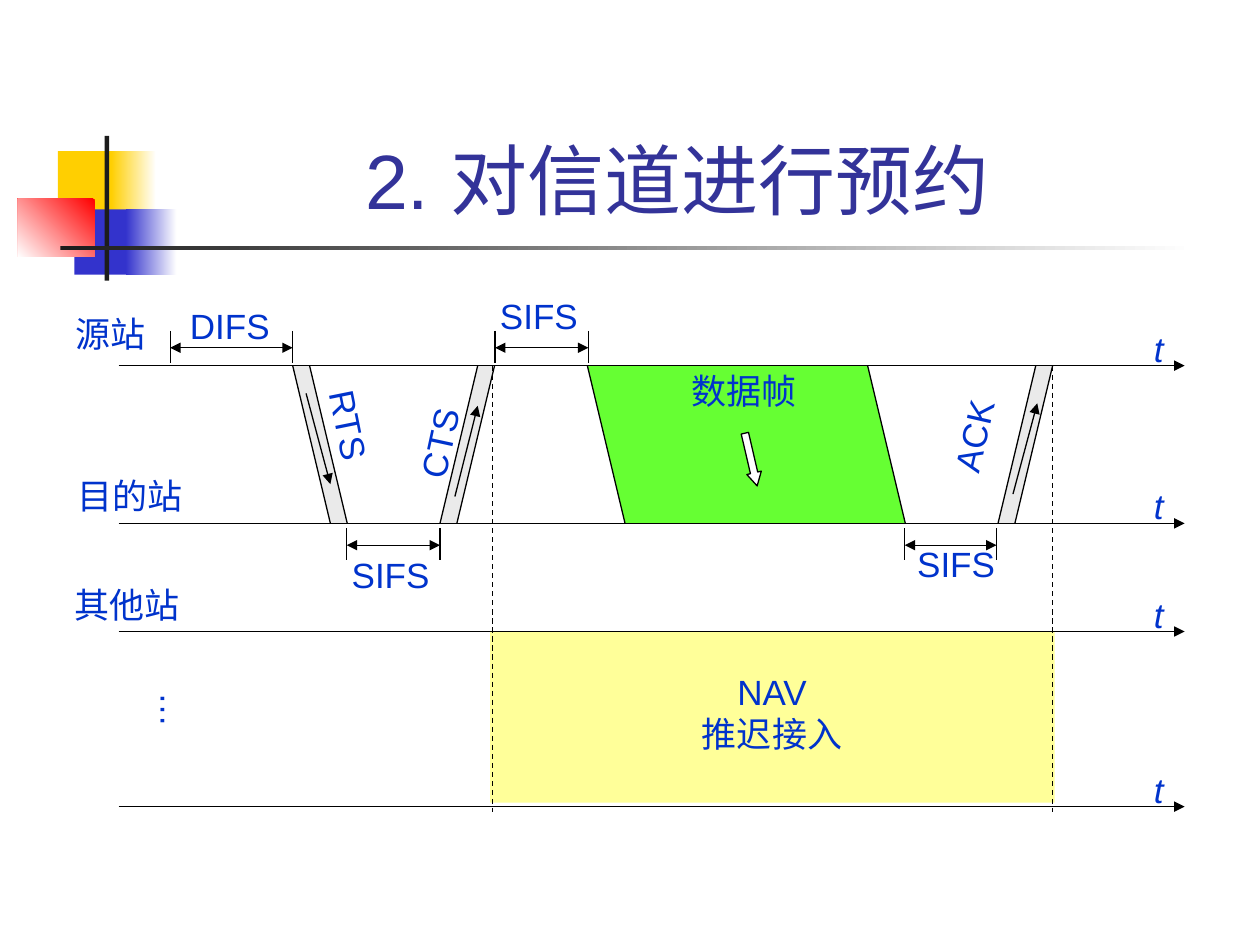
from lxml import etree
from pptx import Presentation
from pptx.dml.color import RGBColor
from pptx.enum import dml, shapes, text
from pptx.oxml import ns
from pptx.util import Cm, Pt

COLORS = {
    "title": "333399", "label": "0033CC", "line": "000000", "white": "FFFFFF",
    "yellow": "FFCF01", "blue": "3333CC", "red": "FF0000", "bar": "1C1C1C",
    "nav": "FFFF99", "data": "66FF33", "control": "EAEAEA",
}
AXIS_LENGTH = 21.49
SOURCE, TARGET, OTHER, LAST = AXES = (0, 3.18, 5.36, 8.89)
SLANT = 0.76
CONTROL_WIDTH = 0.34


def rgb(name):
    return RGBColor.from_string(COLORS[name])


def format_run(r, size, color, italic=None):
    r.font.size, r.font.name, r.font.italic = Pt(size), "Arial", italic
    r.font.color.rgb = rgb(color)


def paint(sp, color, outline=False):
    sp.shadow.inherit = False
    sp.fill.solid()
    sp.fill.fore_color.rgb = rgb(color)
    if outline:
        sp.line.color.rgb, sp.line.width = rgb("line"), Pt(0.75)
    else:
        sp.line.fill.background()


def add_block(slide, kind, x, y, w, h, color, outline=False):
    sp = slide.shapes.add_shape(kind, Cm(x), Cm(y), Cm(w), Cm(h))
    paint(sp, color, outline)
    return sp


def add_line(slide, x1, y1, x2, y2, heads=(), dashed=False):
    line = slide.shapes.add_connector(
        shapes.MSO_CONNECTOR.STRAIGHT, Cm(x1), Cm(y1), Cm(x2), Cm(y2))
    line.line.color.rgb, line.line.width = rgb("line"), Pt(0.75)
    if dashed:
        line.line.dash_style = dml.MSO_LINE.DASH
    ln = line.line._get_or_add_ln()
    for head in heads:
        etree.SubElement(ln, ns.qn("a:" + head), type="triangle")
    etree.SubElement(line._element.spPr, ns.qn("a:effectLst"))


def add_label(slide, x, y, w, words, h=1.12, rotation=0, italic=None, centered=False):
    sp = slide.shapes.add_textbox(Cm(x), Cm(y), Cm(w), Cm(h))
    sp.rotation = rotation
    tf = sp.text_frame
    tf.text = words
    tf.word_wrap = False
    tf.auto_size = text.MSO_AUTO_SIZE.SHAPE_TO_FIT_TEXT
    for p in tf.paragraphs:
        if centered:
            p.alignment = text.PP_ALIGN.CENTER
        for r in p.runs:
            format_run(r, 20, "label", italic)


def add_decoration(slide, x, y):
    """Coloured squares and crossing bars; the last value is the fade angle."""
    for dx, dy, w, h, color, angle in (
        (0.81, 0.31, 1.22, 1.32, "yellow", None),
        (1.88, 0.31, 0.91, 1.32, "yellow", 0),
        (1.14, 1.48, 1.17, 1.32, "blue", None),
        (2.18, 1.48, 1.02, 1.32, "blue", 0),
        (0, 1.27, 1.55, 1.17, "red", 225),
        (1.75, 0, 0.09, 2.92, "bar", None),
        (0.86, 2.21, 22.86, 0.09, "bar", 0),
    ):
        sp = add_block(slide, shapes.MSO_SHAPE.RECTANGLE, x + dx, y + dy, w, h, color)
        if angle is not None:
            sp.fill.gradient()
            sp.fill.gradient_angle = angle
            for stop, name in zip(sp.fill.gradient_stops, (color, "white")):
                stop.color.rgb, stop.position = rgb(name), float(name == "white")


def add_title(slide, x, y, w, h):
    sp = slide.shapes.title
    sp.left, sp.top, sp.width, sp.height = Cm(x), Cm(y), Cm(w), Cm(h)
    tf = sp.text_frame
    tf.text = "2. 对信道进行预约"
    tf.vertical_anchor = text.MSO_ANCHOR.BOTTOM
    p = tf.paragraphs[0]
    p.alignment = text.PP_ALIGN.CENTER
    format_run(p.runs[0], 44, "title")


def add_frame(slide, x, y, left, width, slant, color):
    """Slanted frame between the source and target axes; left is its top corner."""
    x1, x2, y1, y2 = x + left, x + left + width, y + SOURCE, y + TARGET
    corners = [(x1, y1), (x2, y1), (x2 + slant, y2), (x1 + slant, y2)]
    points = [(Cm(px), Cm(py)) for px, py in corners]
    builder = slide.shapes.build_freeform(*points[0])
    builder.add_line_segments(points[1:], close=True)
    paint(builder.convert_to_shape(), color)
    for side in (x1, x2):
        add_line(slide, side, y1, side + slant, y2)


def add_gap(slide, x, y, start, end, top):
    """Interval: two ticks with a double arrow between them."""
    for tick in (start, end):
        add_line(slide, x + tick, y + top, x + tick, y + top + 0.64)
    add_line(slide, x + start, y + top + 0.34, x + end, y + top + 0.34,
             ("headEnd", "tailEnd"))


def add_timing(slide, x, y):
    # Deferred access and frames
    add_block(slide, shapes.MSO_SHAPE.RECTANGLE, x + 7.49, y + OTHER, 11.38, 3.45, "nav")
    for left, width, slant, color in (
        (9.45, 5.65, SLANT, "data"),
        (3.51, CONTROL_WIDTH, SLANT, "control"),
        (7.24, CONTROL_WIDTH, -SLANT, "control"),
        (18.49, CONTROL_WIDTH, -SLANT, "control"),
    ):
        add_frame(slide, x, y, left, width, slant, color)

    # Time axes and NAV limits
    for row in AXES:
        add_line(slide, x, y + row, x + AXIS_LENGTH, y + row, ("tailEnd",))
        add_label(slide, x + 20.62, y + row - 0.9, 0.75, "t", italic=True)
    for limit in (7.54, 18.82):
        add_line(slide, x + limit, y, x + limit, y + 8.99, dashed=True)

    # Intervals
    for gap in ((1.04, 3.51, -0.7), (7.59, 9.47, -0.7),
                (4.6, 6.48, 3.28), (15.85, 17.7, 3.28)):
        add_gap(slide, x, y, *gap)

    # Labels
    for dx, dy, w, words, rotation in (
        (-1.12, -1.19, 2.2, "源站", 0),
        (-1.07, 2.08, 2.8, "目的站", 0),
        (-1.14, 4.27, 2.8, "其他站", 0),
        (0.51, 6.4, 1.22, "…", 90),
        (1.19, -1.35, 2.3, "DIFS", 0),
        (7.44, -1.55, 2.3, "SIFS", 0),
        (4.45, 3.66, 2.3, "SIFS", 0),
        (15.85, 3.45, 2.3, "SIFS", 0),
        (3.61, 0.74, 2.1, "RTS", 78.6),
        (5.44, 0.92, 2.1, "CTS", 282.2),
        (16.21, 0.79, 2.1, "ACK", 282.9),
        (11.3, -0.05, 2.8, "数据帧", 0),
    ):
        add_label(slide, x + dx, y + dy, w, words, rotation=rotation)
    add_label(slide, x + 11.41, y + 6.02, 3.53, "NAV\n推迟接入", h=1.96, centered=True)

    # Directions of travel
    for x1, y1, x2, y2 in ((3.78, 0.56, 4.27, 2.39), (6.78, 2.64, 7.24, 0.81),
                           (18.03, 2.59, 18.52, 0.76)):
        add_line(slide, x + x1, y + y1, x + x2, y + y2, ("tailEnd",))
    arrow = add_block(slide, shapes.MSO_SHAPE.DOWN_ARROW, x + 12.6, y + 1.35,
                      0.3, 1.09, "white", outline=True)
    arrow.adjustments[1] = 0.9
    arrow.rotation = 346.9


prs = Presentation()
prs.slide_width, prs.slide_height = Cm(25.4), Cm(19.05)
slide = prs.slides.add_slide(prs.slide_layouts[5])
add_decoration(slide, 0.36, 2.74)
add_title(slide, 2.38, 0.61, 22.56, 4.06)
add_timing(slide, 2.39, 7.37)
prs.save("out.pptx")
